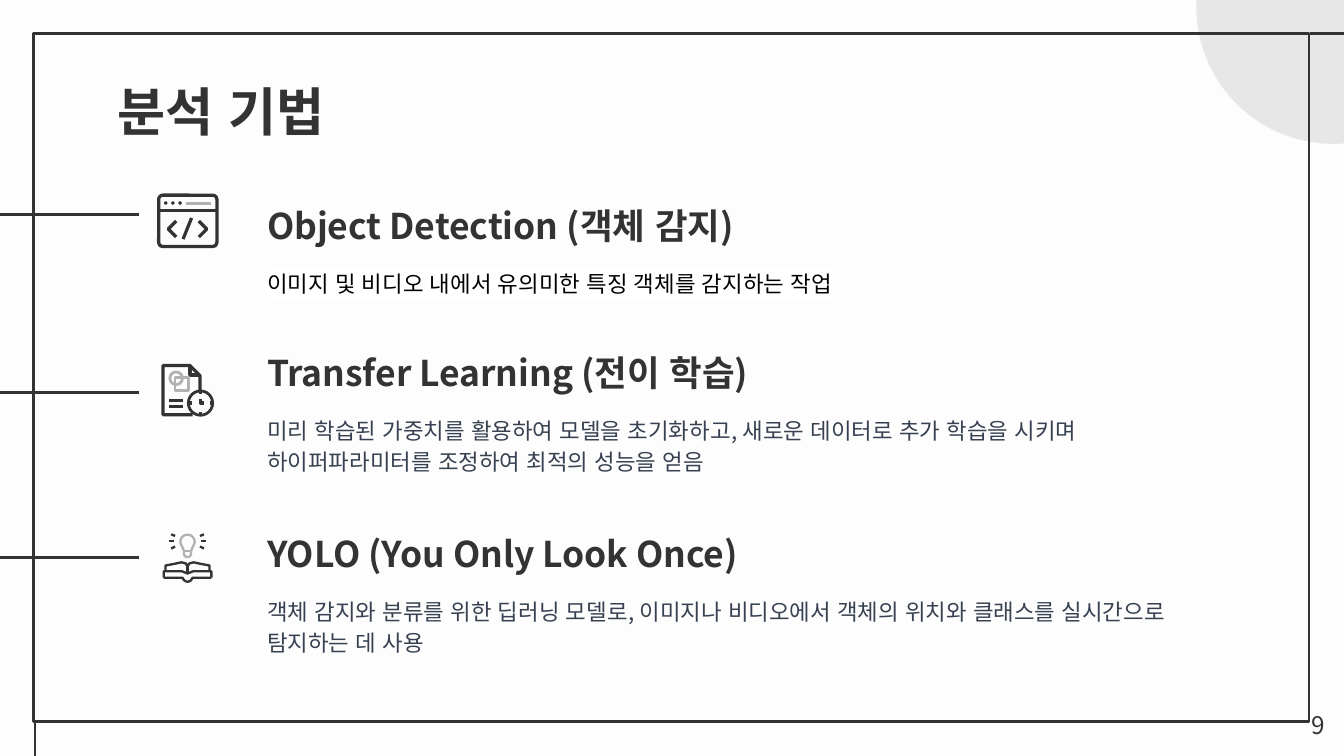
from dataclasses import dataclass
from math import cos, radians, sin
from typing import NamedTuple, Optional

from lxml.etree import SubElement
from pptx import Presentation
from pptx.dml.color import RGBColor as Rgb
from pptx.enum.lang import MSO_LANGUAGE_ID as Lang
from pptx.enum.shapes import MSO_CONNECTOR as Conn, MSO_SHAPE as Kind
from pptx.enum.text import MSO_ANCHOR as Anchor, PP_ALIGN as Align
from pptx.oxml.ns import qn
from pptx.util import Cm, Pt


@dataclass(frozen=True)
class Theme:
    font: str = "Noto Sans CJK KR"
    back: str = "FDFDFD"
    ink: str = "333333"
    gray: str = "B2B2B2"
    pale: str = "E8E7E7"
    slate: str = "374151"
    black: str = "000000"
    white: str = "FFFFFF"
    title: float = 28
    head: float = 19
    body: float = 12
    page: float = 13
    rule: float = 1.5
    bold: float = 1.75
    fine: float = 1.25


class Box(NamedTuple):
    """Left, top, width and height in centimetres."""
    x: float
    y: float
    w: float
    h: float


class Spot(NamedTuple):
    """Top left corner of an icon in centimetres; its parts are in millimetres."""
    x: float
    y: float


@dataclass(frozen=True)
class Topic:
    top: float
    rule: float
    head: str
    body: str
    color: str
    width: float = 18.36
    mark: Optional[str] = None


T = Theme()
WIDE, HIGH = 25.4, 14.29
LEFT, DROP, TALL = 4.8, 1.34, 1.47
TOPICS = [
    Topic(3.45, 4.06, "Object Detection (객체 감지)",
          "이미지 및 비디오 내에서 유의미한 특징 객체를 감지하는 작업",
          T.black, mark=T.white),
    Topic(6.22, 7.42, "Transfer Learning (전이 학습)",
          "미리 학습된 가중치를 활용하여 모델을 초기화하고, 새로운 데이터로 "
          "추가 학습을 시키며 하이퍼파라미터를 조정하여 최적의 성능을 얻음",
          T.slate, 17.55),
    Topic(9.65, 10.54, "YOLO (You Only Look Once)",
          "객체 감지와 분류를 위한 딥러닝 모델로, 이미지나 비디오에서 객체의 "
          "위치와 클래스를 실시간으로 탐지하는 데 사용", T.slate),
]

deck = Presentation()
deck.slide_width, deck.slide_height = Cm(WIDE), Cm(HIGH)
slide = deck.slides.add_slide(deck.slide_layouts[6])
slide.background.fill.solid()
slide.background.fill.fore_color.rgb = Rgb.from_string(T.back)
shapes = slide.shapes


def paint(shape, fill: Optional[str], line: Optional[str], pt: float) -> None:
    shape.shadow.inherit = False
    for part, color in ((shape.fill, fill), (shape.line.fill, line)):
        if color:
            part.solid()
            part.fore_color.rgb = Rgb.from_string(color)
        else:
            part.background()
    if line:
        shape.line.width = Pt(pt)


def form(kind, box: Box, fill: Optional[str] = None,
         line: Optional[str] = None, pt: float = T.rule):
    shape = shapes.add_shape(kind, *map(Cm, box))
    paint(shape, fill, line, pt)
    return shape


def rule(x1: float, y1: float, x2: float, y2: float,
         color: str = T.ink, pt: float = T.rule) -> None:
    line = shapes.add_connector(Conn.STRAIGHT, *map(Cm, (x1, y1, x2, y2)))
    line.line.color.rgb = Rgb.from_string(color)
    line.line.width = Pt(pt)
    SubElement(line._element.spPr, qn("a:effectLst"))


def text(box: Box, words: str, size: float, color: str = T.ink,
         bold: bool = False, anchor=Anchor.TOP, align=Align.LEFT,
         space: float = 1.0, mark: Optional[str] = None) -> None:
    frame = shapes.add_textbox(*map(Cm, box)).text_frame
    layout = {"word_wrap": True, "vertical_anchor": anchor}
    layout.update({f"margin_{side}": Cm(0.25)
                   for side in ("left", "top", "right", "bottom")})
    para = frame.paragraphs[0]
    run = para.add_run()
    run.text = words
    style = {"size": Pt(size), "bold": bold, "name": T.font,
             "language_id": Lang.KOREAN}
    for item, fmt in ((frame, layout), (run.font, style),
                      (para, {"alignment": align, "line_spacing": space})):
        for key, value in fmt.items():
            setattr(item, key, value)
    run.font.color.rgb = Rgb.from_string(color)
    props = run._r.get_or_add_rPr()
    SubElement(props, qn("a:ea"), typeface=T.font)
    if mark:
        light = SubElement(props, qn("a:highlight"))
        SubElement(light, qn("a:srgbClr"), val=mark)
        props.find(qn("a:solidFill")).addnext(light)


def inset(spot: Spot, x: float, y: float, w: float, h: float) -> Box:
    return Box(spot.x + x / 10, spot.y + y / 10, w / 10, h / 10)


def dash(spot: Spot, x1: float, y1: float, x2: float, y2: float,
         color: str = T.ink, pt: float = T.bold) -> None:
    rule(spot.x + x1 / 10, spot.y + y1 / 10,
         spot.x + x2 / 10, spot.y + y2 / 10, color, pt)


def trace(spot: Spot, points: list, close: bool = False,
          color: str = T.ink, pt: float = T.bold) -> None:
    """Outline through points, on a grid of hundredths of a millimetre."""
    grid = [(x * 100, y * 100) for x, y in points]
    pen = shapes.build_freeform(*grid[0], scale=Cm(0.001))
    pen.add_line_segments(grid[1:], close=close)
    paint(pen.convert_to_shape(Cm(spot.x), Cm(spot.y)), None, color, pt)


def code(spot: Spot) -> None:
    pane = form(Kind.ROUNDED_RECTANGLE, inset(spot, 0.3, 0.3, 11, 9.7),
                line=T.ink, pt=T.bold)
    pane.adjustments[0] = 0.08
    dash(spot, 0.3, 3.2, 11.3, 3.2)
    for i in range(3):
        form(Kind.OVAL, inset(spot, 1.3 + 1.35 * i, 1.45, 0.65, 0.65), T.ink)
    dash(spot, 5.4, 1.8, 10.1, 1.8, T.gray)
    for back, tip in ((3.6, 2.1), (7.9, 9.4)):
        trace(spot, [(back, 5.2), (tip, 6.7), (back, 8.2)])
    dash(spot, 6.5, 4.6, 4.9, 8.6)


def report(spot: Spot) -> None:
    form(Kind.OVAL, inset(spot, 1.6, 1.5, 2.4, 2.4), line=T.gray)
    form(Kind.RECTANGLE, inset(spot, 2.6, 2.5, 2.5, 2.5), line=T.gray)
    trace(spot, [(5.9, 9.6), (0.3, 9.6), (0.3, 0.3), (5.4, 0.3),
                 (7.3, 2.2), (7.3, 4.9)])
    trace(spot, [(5.4, 0.3), (5.4, 2.1), (7.3, 2.1)])
    mid = 7.4
    form(Kind.OVAL, inset(spot, mid - 2.3, mid - 2.3, 4.6, 4.6), line=T.ink)
    for dx, dy in ((0, -1), (1, 0), (0, 1), (-1, 0)):
        dash(spot, mid + 1.7 * dx, mid + 1.7 * dy, mid + 2.2 * dx, mid + 2.2 * dy)
    trace(spot, [(mid, 6.7), (mid, mid), (8, mid)])
    for y in (6.85, 8):
        dash(spot, 1.4, y, 4, y)


def idea(spot: Spot) -> None:
    mid = 4.75

    def both(half: list) -> list:
        return half + [(2 * mid - x, y) for x, y in reversed(half)]

    trace(spot, both([(0.6, 7.1), (0.6, 6.1), (2.2, 5.8), (3.6, 5.5),
                      (4.4, 5.7), (4.7, 6.2)]), pt=T.fine)
    trace(spot, both([(0.25, 8.4), (0.25, 7.2), (3.7, 7.2), (4.7, 7.6)]), pt=T.fine)
    trace(spot, both([(0.25, 8.4), (3.8, 8.4), (4.1, 8.9), (4.6, 9.15)]), pt=T.fine)
    dash(spot, mid, 6.1, mid, 7.6, pt=T.fine)
    for x1, y1, x2, y2 in ((1.3, 1.5, 2.2, 1.5), (1.65, 0.2, 2.4, 0.5),
                           (1.65, 2.9, 2.4, 2.5)):
        dash(spot, x1, y1, x2, y2, pt=T.fine)
        dash(spot, 2 * mid - x1, y1, 2 * mid - x2, y2, pt=T.fine)
    arc = [(mid + 1.35 * cos(radians(a)), 1.6 + 1.35 * sin(radians(a)))
           for a in range(140, 401, 20)]
    trace(spot, arc + [(5.4, 3.4), (5.4, 4.1), (5, 4.5), (4.5, 4.5),
                       (4.1, 4.1), (4.1, 3.4)], True, T.gray, T.fine)
    dash(spot, 4.1, 3.4, 5.4, 3.4, T.gray, T.fine)


form(Kind.OVAL, Box(22.61, -2.46, 5.18, 5.18), T.pale)
form(Kind.RECTANGLE, Box(0.64, 0.64, 24.1, 13), line=T.ink)
rule(24.76, 0.64, WIDE, 0.64)
rule(0.66, 13.66, 0.66, HIGH)
text(Box(1.98, 1.24, 21.41, 1.6), "분석 기법", T.title, bold=True)
for topic in TOPICS:
    rule(0, topic.rule, 2.62, topic.rule)
    text(Box(LEFT, topic.top, 18.36, TALL), topic.head, T.head, bold=True,
         anchor=Anchor.BOTTOM, space=1.15)
    text(Box(LEFT, topic.top + DROP, topic.width, TALL), topic.body, T.body,
         topic.color, space=1.15, mark=topic.mark)
code(Spot(2.97, 3.66))
report(Spot(3.05, 6.88))
idea(Spot(3.07, 10.08))
text(Box(23.77, 13.18, 1.52, 1.09), "9", T.page, align=Align.RIGHT)
deck.save("out.pptx")
